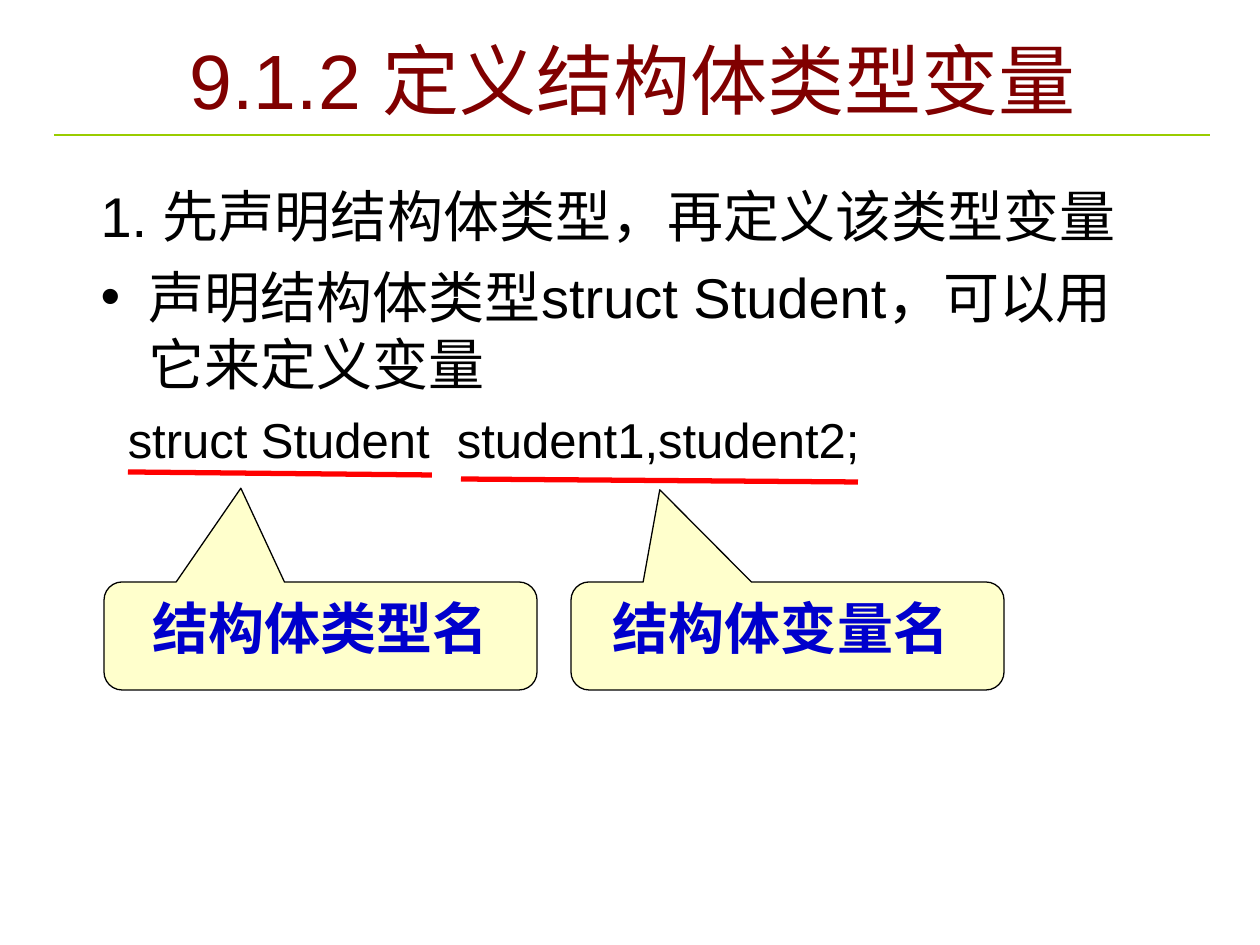
from lxml import etree
from pptx import Presentation
from pptx import util as u
from pptx.dml.color import RGBColor
from pptx.enum import shapes, text
from pptx.oxml.ns import qn

# Content
HEADING = "9.1.2 定义结构体类型变量"
POINTS = [  # wording, size, space before, bullet
    ("1. 先声明结构体类型，再定义该类型变量", 32, 0, None),
    ("声明结构体类型struct Student，可以用它来定义变量", 32, 8, "•"),
    ("  struct Student  student1,student2;", 28, 7, None),
]
CALLOUTS = [  # wording, left, pointer x, pointer y
    ("结构体类型名", 104, -0.184, -1.369),
    ("结构体变量名 ", 571, -0.295, -1.354),
]
CALLOUT_TOP, CALLOUT_WIDTH, CALLOUT_HEIGHT = 582, 433, 108
RULE = (54, 135, 1210, 135)
UNDERLINES = [(128, 472, 432, 475), (461, 479, 858, 482)]


def px(*lengths):
    return [u.Emu(round(n * 914400 / 126)) for n in lengths]


def color(code):
    return RGBColor.from_string(code)


def style(paragraph, size, code, bold=False):
    for run in paragraph.runs:
        run.font.name = "Arial"
        run.font.size = u.Pt(size)
        run.font.bold = bold
        run.font.color.rgb = color(code)


def place(part, left, top, width, height):
    part.left, part.top, part.width, part.height = px(left, top, width, height)


def set_bullet(paragraph, bullet):
    props = paragraph._p.get_or_add_pPr()
    hang = px(48)[0]
    props.set("marL", str(hang))
    props.set("indent", str(-hang))
    if bullet:
        etree.SubElement(props, qn("a:buChar")).set("char", bullet)
    else:
        etree.SubElement(props, qn("a:buNone"))


def draw_line(slide, ends, code, width):
    line = slide.shapes.add_connector(shapes.MSO_CONNECTOR.STRAIGHT, *px(*ends))
    line.line.color.rgb = color(code)
    line.line.width = u.Pt(width)
    etree.SubElement(line._element.spPr, qn("a:effectLst"))


def add_callout(slide, wording, left, tip_x, tip_y):
    callout = slide.shapes.add_shape(
        shapes.MSO_SHAPE.ROUNDED_RECTANGULAR_CALLOUT,
        *px(left, CALLOUT_TOP, CALLOUT_WIDTH, CALLOUT_HEIGHT))
    for i, value in enumerate((tip_x, tip_y, 0.167)):
        callout.adjustments[i] = value
    callout.shadow.inherit = False
    callout.fill.solid()
    callout.fill.fore_color.rgb = color("FFFFCC")
    callout.line.color.rgb = color("000000")
    callout.line.width = u.Pt(0.75)
    frame = callout.text_frame
    frame.word_wrap = False
    frame.vertical_anchor = text.MSO_ANCHOR.TOP
    frame.text = wording
    frame.paragraphs[0].alignment = text.PP_ALIGN.CENTER
    style(frame.paragraphs[0], 32, "0000CC", bold=True)


def main():
    prs = Presentation()
    prs.slide_width, prs.slide_height = px(1260, 945)
    slide = prs.slides.add_slide(prs.slide_layouts[1])
    heading, points = slide.placeholders

    # Title and the rule below it
    draw_line(slide, RULE, "99CC00", 1.5)
    place(heading, 154, 26, 958, 106)
    heading.text_frame.text = HEADING
    heading.text_frame.auto_size = text.MSO_AUTO_SIZE.NONE
    heading.text_frame.vertical_anchor = text.MSO_ANCHOR.MIDDLE
    heading.text_frame.paragraphs[0].alignment = text.PP_ALIGN.CENTER
    style(heading.text_frame.paragraphs[0], 44, "800000")

    # Points
    place(points, 88, 175, 1082, 462)
    frame = points.text_frame
    frame.text = "\n".join(point[0] for point in POINTS)
    frame.auto_size = text.MSO_AUTO_SIZE.NONE
    for paragraph, (_, size, before, bullet) in zip(frame.paragraphs, POINTS):
        paragraph.space_before = u.Pt(before)
        set_bullet(paragraph, bullet)
        style(paragraph, size, "000000")

    # Callouts and the underlines they point at
    for callout in CALLOUTS:
        add_callout(slide, *callout)
    for ends in UNDERLINES:
        draw_line(slide, ends, "FF0000", 3)

    prs.save("out.pptx")


if __name__ == "__main__":
    main()
